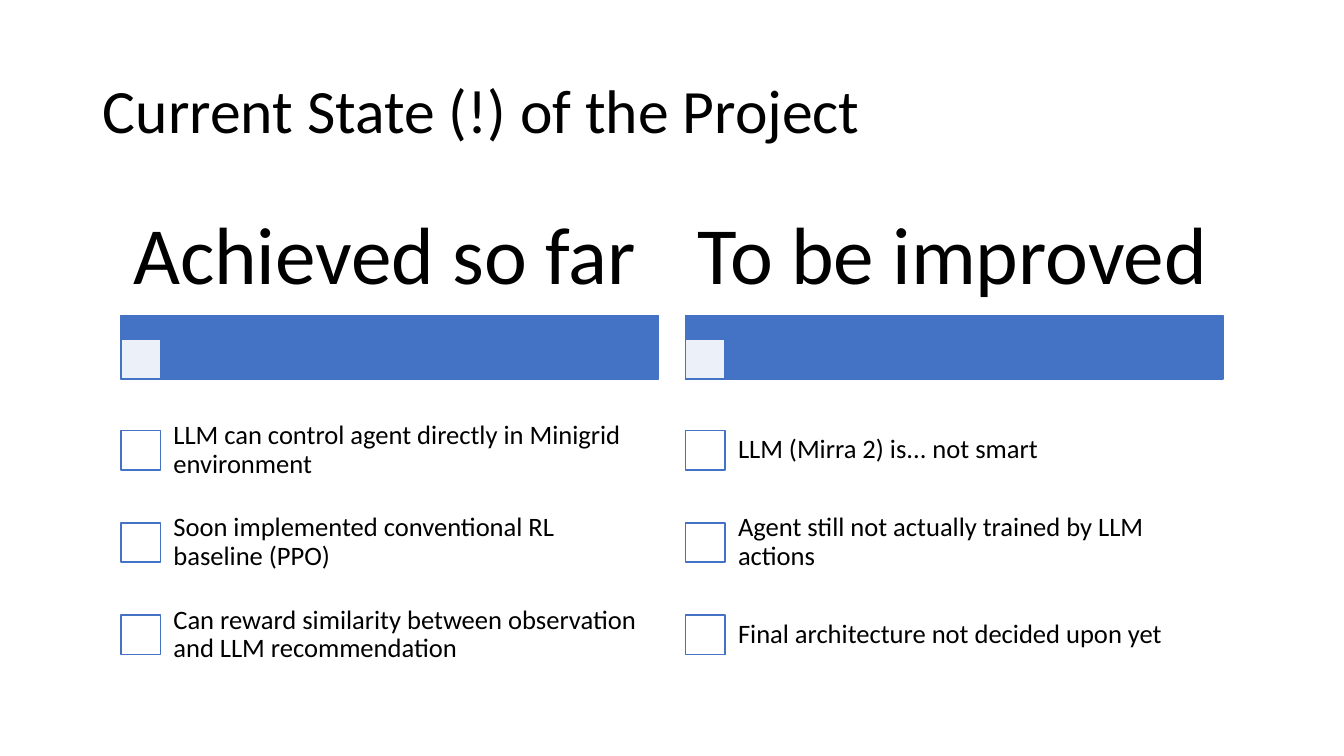
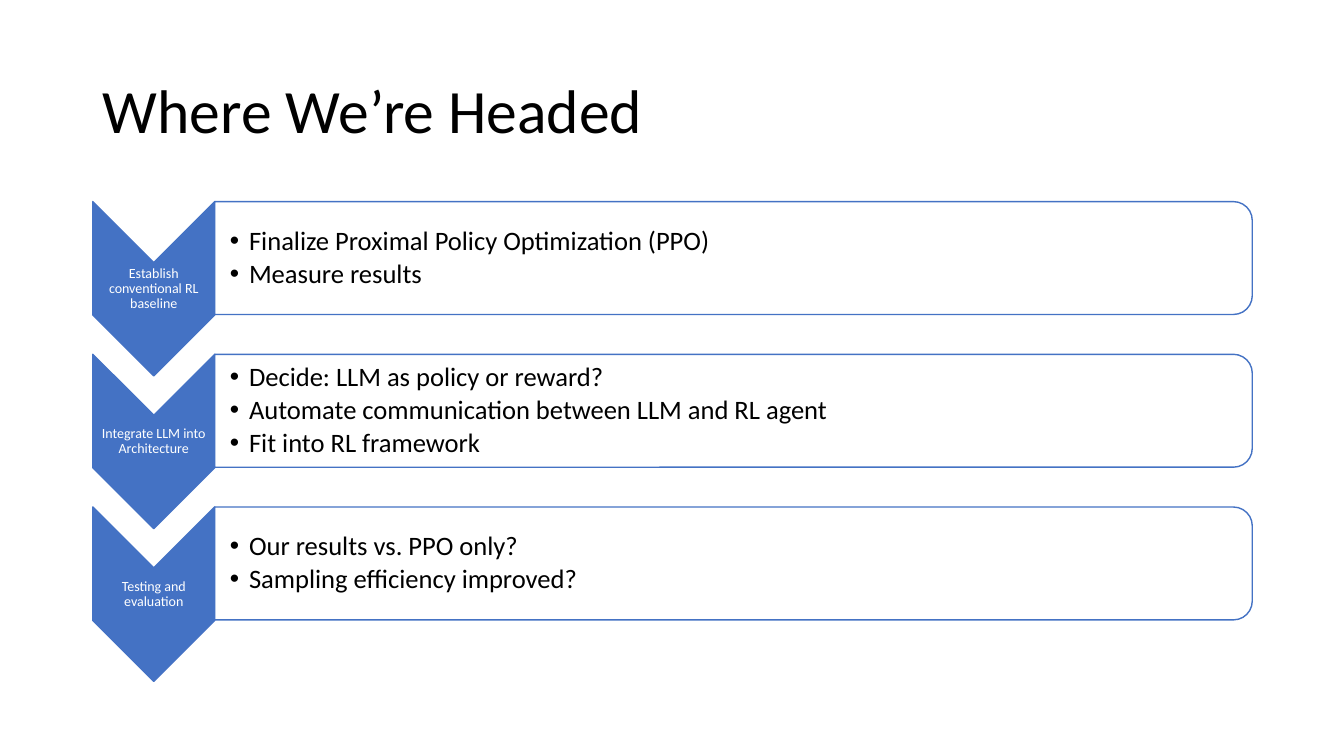
from lxml import etree
from pptx import Presentation
from pptx import util as u
from pptx.dml.color import RGBColor
from pptx.enum import shapes, text
from pptx.oxml.ns import qn

BLUE = RGBColor(0x44, 0x72, 0xC4)
WHITE = RGBColor(0xFF, 0xFF, 0xFF)
BLACK = RGBColor(0x00, 0x00, 0x00)
FONT = "Calibri"
SLIDE_WIDTH, SLIDE_HEIGHT = 13.33, 7.5
MARGIN = 0.92
TOP = 2.0
TITLE_BOX = (MARGIN, 0.4, SLIDE_WIDTH - 2 * MARGIN, 1.45)

COLUMN_LEFT, COLUMN_PITCH, COLUMN_WIDTH = 1.2, 5.6, 5.33
HEADING_HEIGHT, BAND_HEIGHT = 1.13, 0.63
ITEM_TOP, ITEM_PITCH, ITEM_INDENT = 4.01, 0.915, 0.37
CHECKBOX = 0.39

STEP_PITCH, STEP_HEIGHT = 1.515, 1.12
CHEVRON_WIDTH, CHEVRON_HEIGHT = 1.21, 1.73
PANEL_WIDTH = 10.29
LABEL_HEIGHT = 0.52
BULLET_INDENT = 0.19

COLUMNS = [
    ("Achieved so far", [
        "LLM can control agent directly in Minigrid environment",
        "Soon implemented conventional RL baseline (PPO)",
        "Can reward similarity between observation and LLM recommendation",
    ]),
    ("To be improved", [
        "LLM (Mirra 2) is... not smart",
        "Agent still not actually trained by LLM actions",
        "Final architecture not decided upon yet",
    ]),
]

STEPS = [
    ("Establish conventional RL baseline", [
        "Finalize Proximal Policy Optimization (PPO)",
        "Measure results",
    ]),
    ("Integrate LLM into Architecture", [
        "Decide: LLM as policy or reward?",
        "Automate communication between LLM and RL agent",
        "Fit into RL framework",
    ]),
    ("Testing and evaluation", [
        "Our results vs. PPO only?",
        "Sampling efficiency improved?",
    ]),
]


def inches(box):
    return [u.Inches(length) for length in box]


def add_bullet(paragraph):
    properties = paragraph._p.get_or_add_pPr()
    properties.set("marL", str(u.Inches(BULLET_INDENT)))
    properties.set("indent", str(-u.Inches(BULLET_INDENT)))
    etree.SubElement(properties, qn("a:buFont")).set("typeface", "Arial")
    etree.SubElement(properties, qn("a:buChar")).set("char", "•")


def write_text(frame, lines, size, color=BLACK, align=text.PP_ALIGN.LEFT,
               bullets=False):
    frame.word_wrap = True
    frame.vertical_anchor = text.MSO_ANCHOR.MIDDLE
    for index, line in enumerate(lines):
        paragraph = frame.add_paragraph() if index else frame.paragraphs[0]
        paragraph.alignment = align
        paragraph.line_spacing = 0.9
        if bullets:
            paragraph.space_after = u.Pt(round(0.15 * size))
            add_bullet(paragraph)
        run = paragraph.add_run()
        run.text = line
        run.font.name = FONT
        run.font.size = u.Pt(size)
        run.font.color.rgb = color


def add_text(slide, box, lines, size, insets, **style):
    frame = slide.shapes.add_textbox(*inches(box)).text_frame
    (frame.margin_left, frame.margin_top,
     frame.margin_right, frame.margin_bottom) = inches(insets)
    write_text(frame, lines, size, **style)


def add_block(slide, kind, box, fill, opacity=100, turned=False):
    left, top, width, height = box
    if turned:
        box = (left + (width - height) / 2, top + (height - width) / 2,
               height, width)
    shape = slide.shapes.add_shape(kind, *inches(box))
    shape.shadow.inherit = False
    shape.rotation = 90 if turned else 0
    shape.fill.solid()
    shape.fill.fore_color.rgb = fill
    shape.line.color.rgb = BLUE
    shape.line.width = u.Pt(1)
    if opacity < 100:
        color = shape._element.spPr.find(qn("a:solidFill"))[0]
        etree.SubElement(color, qn("a:alpha")).set("val", str(opacity * 1000))


def add_titled_slide(presentation, title):
    slide = presentation.slides.add_slide(presentation.slide_layouts[5])
    shape = slide.shapes.title
    shape.left, shape.top, shape.width, shape.height = inches(TITLE_BOX)
    write_text(shape.text_frame, [title], 44)
    return slide


def add_checkbox(slide, left, top, opacity=100):
    add_block(slide, shapes.MSO_SHAPE.RECTANGLE,
              (left, top, CHECKBOX, CHECKBOX), WHITE, opacity)


def add_checklist(slide, column, heading, items):
    left = COLUMN_LEFT + column * COLUMN_PITCH
    band_top = TOP + HEADING_HEIGHT
    add_block(slide, shapes.MSO_SHAPE.RECTANGLE,
              (left, band_top, COLUMN_WIDTH, BAND_HEIGHT), BLUE)
    add_checkbox(slide, left, band_top + BAND_HEIGHT - CHECKBOX, opacity=90)
    add_text(slide, (left, TOP, COLUMN_WIDTH, HEADING_HEIGHT), [heading], 58,
             (0.12, 0.08, 0.12, 0.08))
    for row, item in enumerate(items):
        top = ITEM_TOP + row * ITEM_PITCH
        add_checkbox(slide, left, top + (ITEM_PITCH - CHECKBOX) / 2)
        add_text(slide, (left + ITEM_INDENT, top,
                         COLUMN_WIDTH - ITEM_INDENT, ITEM_PITCH),
                 [item], 19, (0.15,) * 4)


def add_step(slide, row, label, points):
    top = TOP + row * STEP_PITCH
    panel_left = MARGIN + CHEVRON_WIDTH
    panel = (panel_left, top, PANEL_WIDTH, STEP_HEIGHT)
    add_block(slide, shapes.MSO_SHAPE.CHEVRON,
              (MARGIN, top, CHEVRON_WIDTH, CHEVRON_HEIGHT), BLUE, turned=True)
    label_top = top + (CHEVRON_HEIGHT - LABEL_HEIGHT) / 2
    add_text(slide, (MARGIN, label_top, CHEVRON_WIDTH, LABEL_HEIGHT), [label],
             10, (0.01,) * 4, color=WHITE, align=text.PP_ALIGN.CENTER)
    add_block(slide, shapes.MSO_SHAPE.ROUND_2_SAME_RECTANGLE, panel, WHITE,
              opacity=90, turned=True)
    add_text(slide, panel, points, 19, (0.15, 0.01, 0.01, 0.01), bullets=True)


def main():
    presentation = Presentation()
    presentation.slide_width = u.Inches(SLIDE_WIDTH)
    presentation.slide_height = u.Inches(SLIDE_HEIGHT)

    state = add_titled_slide(presentation, "Current State (!) of the Project")
    for column, (heading, items) in enumerate(COLUMNS):
        add_checklist(state, column, heading, items)

    outlook = add_titled_slide(presentation, "Where We’re Headed")
    for row, (label, points) in enumerate(STEPS):
        add_step(outlook, row, label, points)

    presentation.save("out.pptx")


main()
